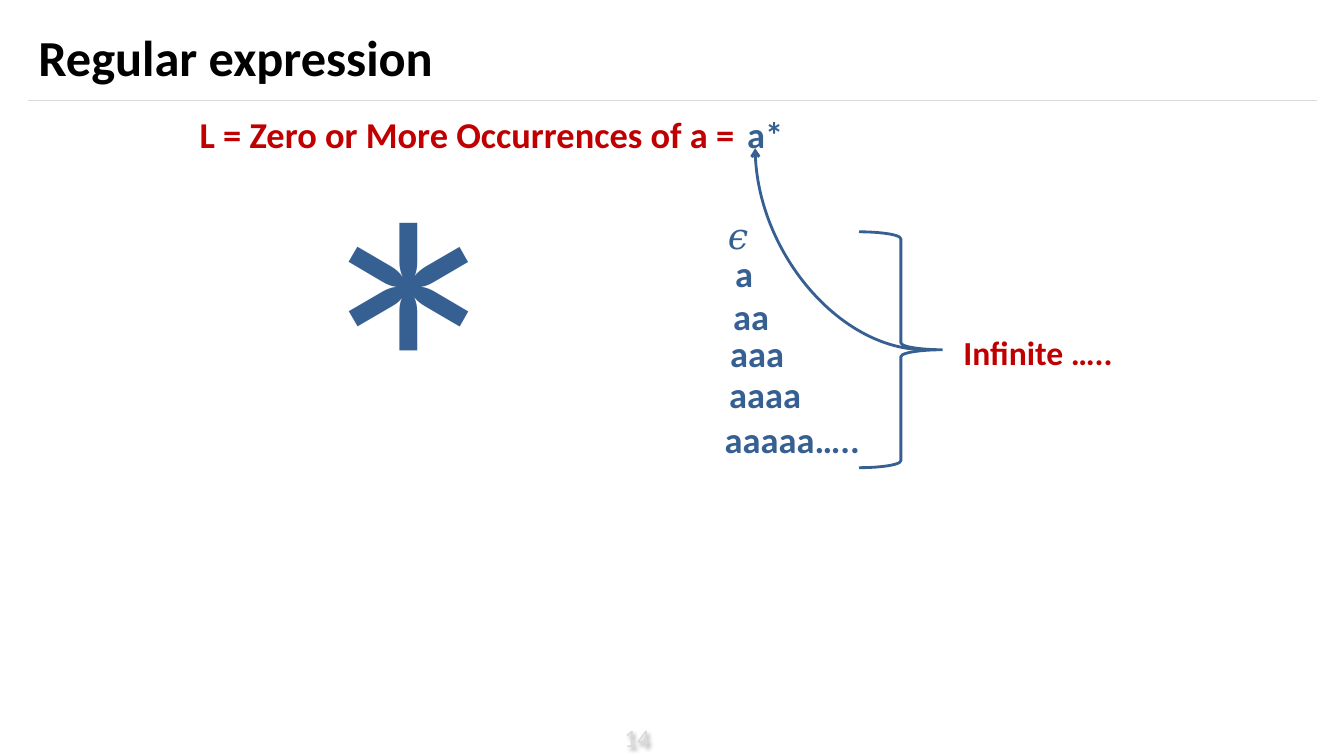
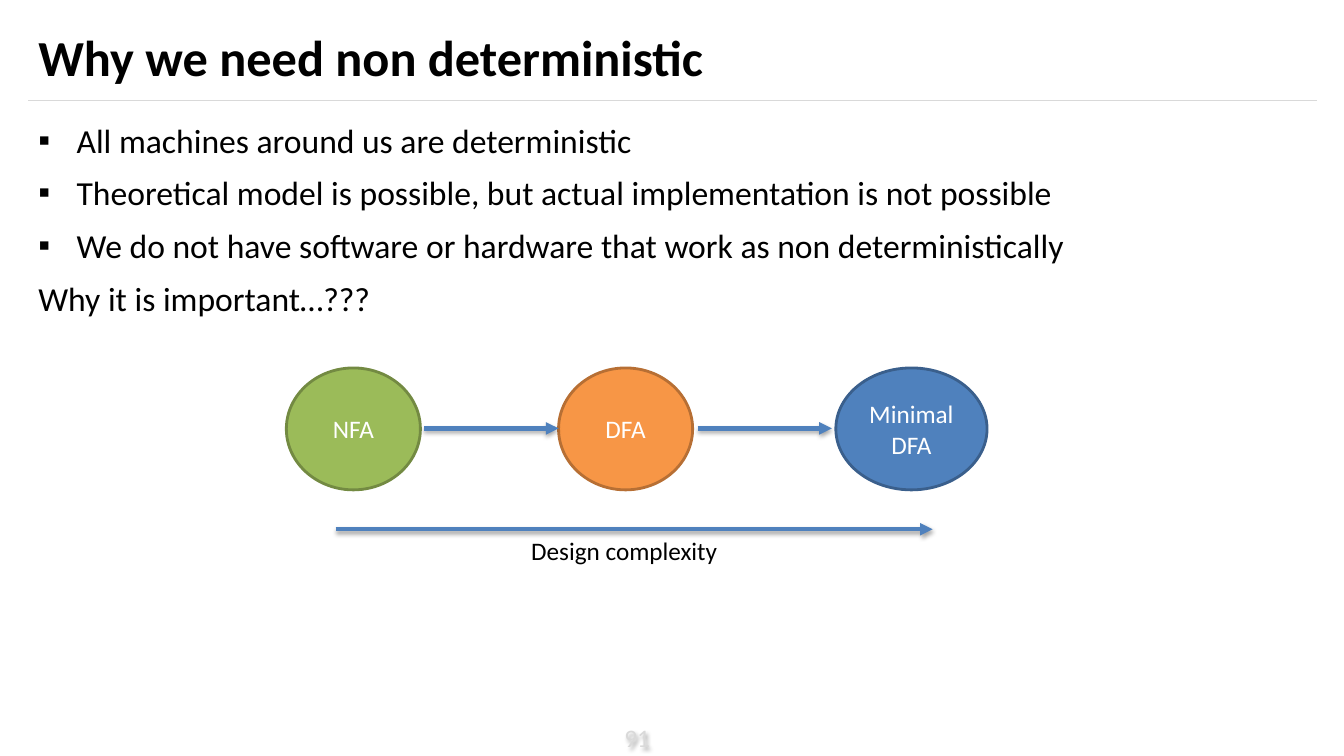
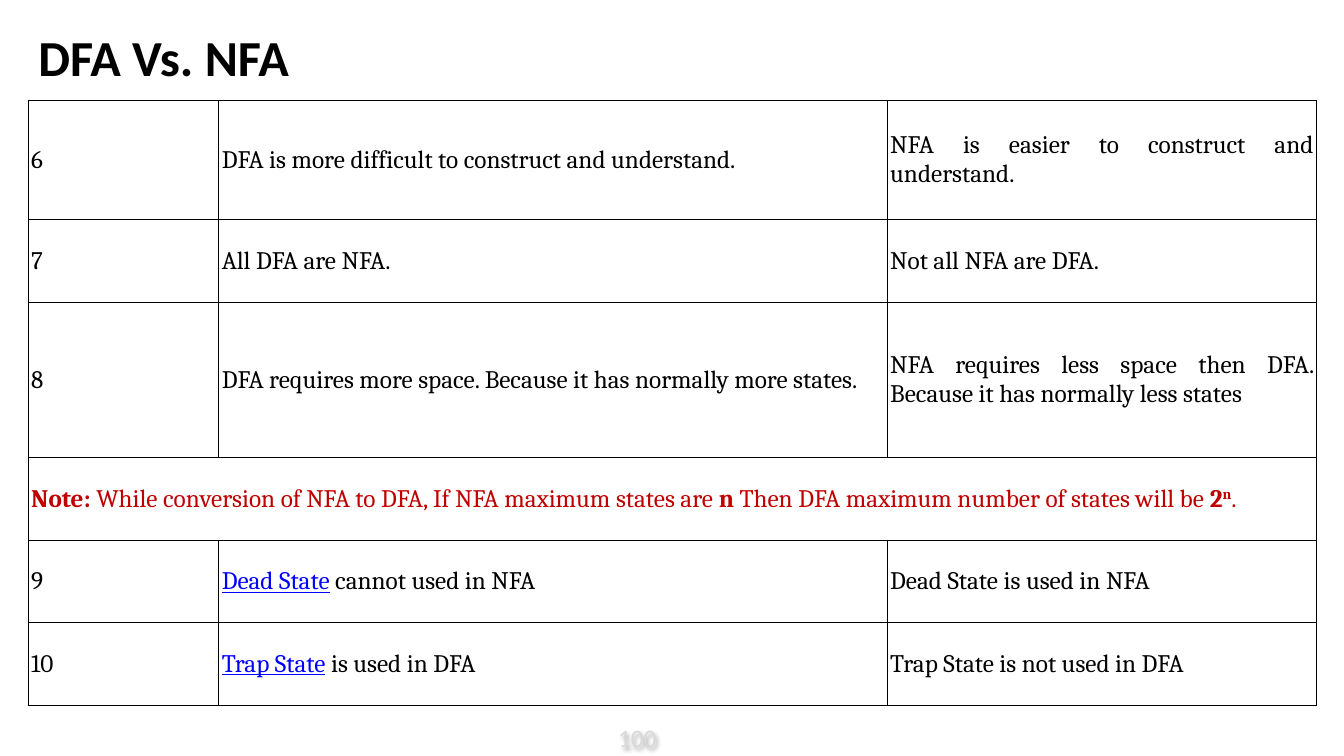
import dataclasses

import lxml.etree
import pptx
import pptx.dml.color
import pptx.enum.shapes
import pptx.enum.text
import pptx.oxml.ns
import pptx.util

ALIGN = pptx.enum.text.PP_ALIGN
MIDDLE = pptx.enum.text.MSO_ANCHOR.MIDDLE
SHAPE = pptx.enum.shapes.MSO_SHAPE
LINK = pptx.enum.shapes.MSO_CONNECTOR


@dataclasses.dataclass(frozen=True)
class Theme:
    sans: str = "Calibri"
    serif: str = "Cambria"
    math: str = "Times New Roman"
    black: str = "000000"
    white: str = "FFFFFF"
    grey: str = "D9D9D9"
    navy: str = "376092"
    blue: str = "4F81BD"
    red: str = "C00000"
    link: str = "0000FF"
    head: float = 36
    term: float = 26
    body: float = 24
    small: float = 18
    star: float = 300
    left: float = 0.28
    wide: float = 12.78
    rule: float = 1


T = Theme()


# Basic helpers

def place(*nums):
    return [pptx.util.Inches(num) for num in nums]


def tint(code):
    return pptx.dml.color.RGBColor.from_string(code)


def node(base, tag, **attrs):
    return lxml.etree.SubElement(base, pptx.oxml.ns.qn(tag), **attrs)


def effect(base, shade, angle=90):
    """Add an effect list, with a soft drop shadow if shade is true."""
    listing = node(base, "a:effectLst")
    if shade:
        drop = node(listing, "a:outerShdw", blurRad="40000", dist="23000",
                    dir=str(angle * 60000), rotWithShape="0")
        ink = node(drop, "a:srgbClr", val=T.black)
        node(ink, "a:alpha", val="35000")


def write(para, text, size=T.body, color=T.black, font=T.sans, bold=False,
          under=False, lift=0):
    run = para.add_run()
    run.text = text
    face = run.font
    face.size = pptx.util.Pt(size)
    face.name = font
    face.bold = bold
    face.underline = under
    face.color.rgb = tint(color)
    if lift:
        run._r.get_or_add_rPr().set("baseline", str(lift * 1000))


def label(slide, area, text, align=ALIGN.CENTER, wrap=True, **look):
    box = slide.shapes.add_textbox(*place(*area))
    frame = box.text_frame
    frame.word_wrap = wrap
    frame.vertical_anchor = MIDDLE
    para = frame.paragraphs[0]
    para.alignment = align
    write(para, text, **look)
    return box


def form(slide, kind, area, text="", fill=None, edge=None, **look):
    item = slide.shapes.add_shape(kind, *place(*area))
    item.shadow.inherit = False
    if fill:
        item.fill.solid()
        item.fill.fore_color.rgb = tint(fill)
    else:
        item.fill.background()
    if edge:
        item.line.color.rgb = tint(edge)
        item.line.width = pptx.util.Pt(2)
    else:
        item.line.fill.background()
    if text:
        frame = item.text_frame
        frame.word_wrap = True
        frame.vertical_anchor = MIDDLE
        frame.paragraphs[0].alignment = ALIGN.CENTER
        write(frame.paragraphs[0], text, **look)


def stroke(slide, ends, color, width, tip=None, shade=False,
           kind=LINK.STRAIGHT):
    item = slide.shapes.add_connector(kind, *place(*ends))
    item.line.color.rgb = tint(color)
    item.line.width = pptx.util.Pt(width)
    if tip:
        node(item.line._get_or_add_ln(), "a:tailEnd", type=tip)
    effect(item._element.spPr, shade)
    return item


# Shared slide parts

def start(deck, title, page, layout):
    slide = deck.slides.add_slide(deck.slide_layouts[layout])
    stroke(slide, (T.left, T.rule, T.left + T.wide, T.rule), T.grey, 0.75)
    head = slide.shapes.title
    head.left, head.top, head.width, head.height = place(
        T.left, 0.12, T.wide, 0.88)
    head.text_frame.vertical_anchor = MIDDLE
    para = head.text_frame.paragraphs[0]
    para.alignment = ALIGN.LEFT
    write(para, title, size=T.head, bold=True)
    # Pale page number with a soft shadow
    foot = label(slide, (5.86, 7.12, 0.92, 0.4), page, size=T.small,
                 color=T.grey)
    effect(foot._element.spPr, True, angle=45)
    return slide


def fill_body(slide, area, lines, align=ALIGN.LEFT, **look):
    """Fill the body with (text, has bullet) pairs."""
    body = slide.placeholders[1]
    body.left, body.top, body.width, body.height = place(*area)
    frame = body.text_frame
    frame.auto_size = pptx.enum.text.MSO_AUTO_SIZE.NONE
    for num, (text, dot) in enumerate(lines):
        para = frame.add_paragraph() if num else frame.paragraphs[0]
        props = para._p.get_or_add_pPr()
        inset = pptx.util.Inches(0.38) if dot else 0
        props.set("marL", str(inset))
        props.set("indent", str(-inset))
        if dot:
            node(props, "a:buChar", char="▪")
        else:
            node(props, "a:buNone")
        para.alignment = align
        para.line_spacing = 1.14
        para.space_before = pptx.util.Pt(4.8 if num else 0)
        write(para, text, **look)


def border(cell):
    props = cell._tc.get_or_add_tcPr()
    for num, side in enumerate(("a:lnL", "a:lnR", "a:lnT", "a:lnB")):
        line = node(props, side, w="12700")
        node(node(line, "a:solidFill"), "a:srgbClr", val=T.black)
        props.remove(line)
        props.insert(num, line)


def grid(slide, area, cols, rows, cells):
    """Cells hold lists of (text, format) pairs; a lone cell spans its row."""
    table = slide.shapes.add_table(len(rows), len(cols), *place(*area)).table
    table.first_row = table.horz_banding = False
    for col, size in zip(table.columns, cols):
        col.width = pptx.util.Inches(size)
    for row, size in zip(table.rows, rows):
        row.height = pptx.util.Inches(size)
    for num, parts in enumerate(cells):
        for cell in table.rows[num].cells:
            cell.fill.background()
            border(cell)
        if len(parts) == 1:
            table.cell(num, 0).merge(table.cell(num, len(cols) - 1))
        for pos, runs in enumerate(parts):
            cell = table.cell(num, pos)
            cell.vertical_anchor = MIDDLE
            cell.margin_left = cell.margin_right = pptx.util.Inches(0.03)
            cell.margin_top = cell.margin_bottom = pptx.util.Inches(0.03)
            para = cell.text_frame.paragraphs[0]
            para.alignment = ALIGN.JUSTIFY
            for text, look in runs:
                write(para, text, size=T.small, font=T.serif, **look)


# Slides

def star_slide(deck):
    slide = start(deck, "Regular expression", "14", 1)
    fill_body(slide, (1.88, 1, 9.58, 5.83),
              [("L = Zero or More Occurrences of a =", False)],
              align=ALIGN.JUSTIFY, size=T.term, color=T.red, bold=True)
    label(slide, (2.43, 1.7, 3.25, 3.62), "*", size=T.star, color=T.navy)
    # Words of the language, by their middle points
    words = [("a*", 7.59, 1.33), ("𝜖", 7.36, 2.33), ("a", 7.38, 2.71),
             ("aa", 7.45, 3.13), ("aaa", 7.51, 3.5), ("aaaa", 7.59, 3.91),
             ("aaaaa…..", 7.86, 4.35)]
    wide, high = 1.7, 0.7
    for word, mid, level in words:
        label(slide, (mid - wide / 2, level - high / 2, wide, high), word,
              size=T.term, color=T.navy, bold=True,
              font=T.math if word == "𝜖" else T.sans)
    form(slide, SHAPE.RIGHT_BRACE, (8.52, 2.3, 0.83, 2.34), edge=T.navy)
    form(slide, SHAPE.RECTANGLE, (9.35, 3.21, 1.89, 0.57), "Infinite …..",
         fill=T.white, color=T.red, bold=True)
    # Quarter curve, turned to run from the brace up to the term
    curve = stroke(slide, (7.49, 1.47, 9.18, 3.47), T.navy, 2, tip="arrow",
                   kind=LINK.CURVE)
    props = curve._element.spPr
    props.find(pptx.oxml.ns.qn("a:xfrm")).set("rot", "10800000")
    props.find(pptx.oxml.ns.qn("a:prstGeom")).set("prst", "curvedConnector2")


def need_slide(deck):
    slide = start(deck, "Why we need non deterministic", "91", 1)
    fill_body(slide, (T.left, 1.08, T.wide, 5.83), [
        ("All machines around us are deterministic", True),
        ("Theoretical model is possible, but actual implementation is "
         "not possible", True),
        ("We do not have software or hardware that work as non "
         "deterministically", True),
        ("Why it is important…???", False)])
    # Stages and the arrows between them
    stages = [("NFA", 2.84, 1.33, "9BBB59", "738A42"),
              ("DFA", 5.54, 1.33, "F79646", "B76F34"),
              ("Minimal DFA", 8.29, 1.5, T.blue, "3A5F8C")]
    for text, left, wide, fill, edge in stages:
        form(slide, SHAPE.OVAL, (left, 3.65, wide, 1.21), text, fill=fill,
             edge=edge, size=T.small, color=T.white)
    for left, right, level in ((4.21, 5.54, 4.25), (6.92, 8.25, 4.25),
                               (3.33, 9.25, 5.25)):
        stroke(slide, (left, level, right, level), T.blue, 3, tip="triangle",
               shade=True)
    label(slide, (5.17, 5.26, 2.07, 0.4), "Design complexity",
          align=ALIGN.LEFT, wrap=False, size=T.small)


def versus_slide(deck):
    slide = start(deck, "DFA Vs. NFA", "100", 5)
    red = {"color": T.red}
    strong = {"color": T.red, "bold": True}
    link = {"color": T.link, "under": True}

    def plain(*texts):
        return [[(text, {})] for text in texts]

    note = [("Note: ", strong),
            ("While conversion of NFA to DFA, If NFA maximum states are ",
             red),
            ("n ", strong),
            ("Then DFA maximum number of states will be ", red),
            ("2", strong), ("n", {**strong, "lift": 30}), (".", red)]
    cells = [
        plain("6", "DFA is more difficult to construct and understand.",
              "NFA is easier to construct and understand."),
        plain("7", "All DFA are NFA.", "Not all NFA are DFA."),
        plain("8", "DFA requires more space. Because it has normally more "
              "states.", "NFA requires less space then DFA. Because it has "
              "normally less states"),
        [note],
        [[("9", {})], [("Dead State", link), (" cannot used in NFA", {})],
         [("Dead State is used in NFA", {})]],
        [[("10", {})], [("Trap State", link), (" is used in DFA", {})],
         [("Trap State is not used in DFA", {})]]]
    grid(slide, (T.left, T.rule, T.wide, 6), (1.89, 6.63, 4.26),
         (1.18, 0.82, 1.54, 0.82, 0.82, 0.82), cells)


def main():
    deck = pptx.Presentation()
    deck.slide_width, deck.slide_height = place(13.33, 7.5)
    star_slide(deck)
    need_slide(deck)
    versus_slide(deck)
    deck.save("out.pptx")


if __name__ == "__main__":
    main()
